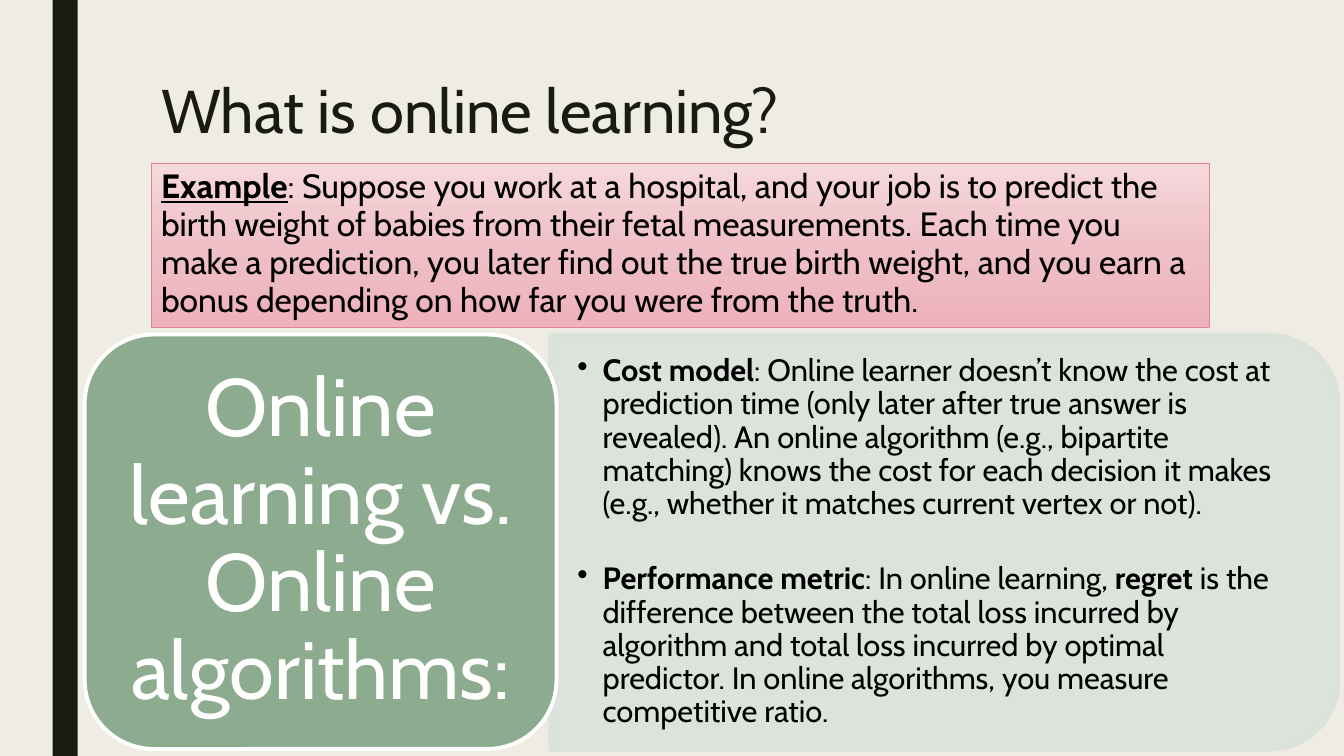
from dataclasses import dataclass

import lxml.etree
import pptx
import pptx.dml.color
import pptx.enum.shapes
import pptx.enum.text
import pptx.oxml.ns
import pptx.util

Pt = pptx.util.Pt
RGBColor = pptx.dml.color.RGBColor
Shape = pptx.enum.shapes.MSO_SHAPE
Align = pptx.enum.text.PP_ALIGN
Anchor = pptx.enum.text.MSO_ANCHOR
qn = pptx.oxml.ns.qn

FONT = "Cabin"
CREAM = RGBColor(0xEF, 0xED, 0xE3)
DARK = RGBColor(0x19, 0x1B, 0x0E)
BLACK = RGBColor(0x00, 0x00, 0x00)
WHITE = RGBColor(0xFF, 0xFF, 0xFF)
GREEN = RGBColor(0x8D, 0xAB, 0x8E)
PALE_GREEN = RGBColor(0xDB, 0xE2, 0xDB)
ROSE = RGBColor(0xE2, 0x83, 0x94)
ROSE_STOPS = (
    (0, RGBColor(0xF6, 0xD9, 0xDD)),
    (50, RGBColor(0xEF, 0xC0, 0xC7)),
    (100, RGBColor(0xEE, 0xB2, 0xBB)),
)


@dataclass(frozen=True)
class Frame:
    """Left, top, width and height in points."""
    left: float
    top: float
    width: float
    height: float

    def lengths(self) -> list:
        return [Pt(v) for v in (self.left, self.top, self.width, self.height)]


@dataclass(frozen=True)
class Span:
    text: str
    bold: bool = False
    underline: bool = False


@dataclass(frozen=True)
class TextStyle:
    size: float
    color: RGBColor
    line_spacing: float
    align: Align = Align.LEFT
    anchor: Anchor = Anchor.TOP
    inset_x: float = 7.2
    inset_y: float = 3.6
    bullet_indent: float = 0
    gap: float = 0


TITLE = TextStyle(44, DARK, 0.89)
EXAMPLE = TextStyle(24, BLACK, 0.94)
LABEL = TextStyle(58, WHITE, 0.9, Align.CENTER, Anchor.MIDDLE, 17.4, 8.7)
POINTS = TextStyle(22, BLACK, 0.9, anchor=Anchor.MIDDLE, inset_x=19.4,
                   inset_y=10, bullet_indent=18, gap=30)

EXAMPLE_TEXT = [[
    Span("Example", bold=True, underline=True),
    Span(": Suppose you work at a hospital, and your job is to predict the birth weight "
         "of babies from their fetal measurements. Each time you make a prediction, you "
         "later find out the true birth weight, and you earn a bonus depending on how far "
         "you were from the truth."),
]]
POINTS_TEXT = [
    [
        Span("Cost model", bold=True),
        Span(": Online learner doesn’t know the cost at prediction time (only later after "
             "true answer is revealed). An online algorithm (e.g., bipartite matching) knows "
             "the cost for each decision it makes (e.g., whether it matches current vertex "
             "or not)."),
    ],
    [
        Span("Performance metric", bold=True),
        Span(": In online learning, "),
        Span("regret", bold=True),
        Span(" is the difference between the total loss incurred by algorithm and total "
             "loss incurred by optimal predictor. In online algorithms, you measure "
             "competitive ratio."),
    ],
]


def add_box(page, kind: Shape, frame: Frame, fill: RGBColor,
            line: RGBColor | None = None, line_width: float = 0):
    box = page.shapes.add_shape(kind, *frame.lengths())
    box.shadow.inherit = False
    box.fill.solid()
    box.fill.fore_color.rgb = fill
    if line is None:
        box.line.fill.background()
    else:
        box.line.color.rgb = line
        box.line.width = Pt(line_width)
    return box


def set_opacity(box, percent: int) -> None:
    """Apply the opacity to the fill and line colours alike."""
    for color in box.fill._xPr.iter(qn("a:srgbClr")):
        lxml.etree.SubElement(color, qn("a:alpha"), val=str(percent * 1000))


def set_gradient(box, stops: tuple) -> None:
    """Fill from top to bottom with (percent, colour) stops."""
    box.fill.gradient()
    box.fill.gradient_angle = 270
    stop_list = box.fill._xPr.find(".//" + qn("a:gsLst"))
    for stop in list(stop_list):
        stop_list.remove(stop)
    for percent, color in stops:
        stop = lxml.etree.SubElement(stop_list, qn("a:gs"), pos=str(percent * 1000))
        lxml.etree.SubElement(stop, qn("a:srgbClr"), val=str(color))


def set_bullet(para, indent: float) -> None:
    properties = para._p.get_or_add_pPr()
    properties.set("marL", str(Pt(indent)))
    properties.set("indent", str(-Pt(indent)))
    lxml.etree.SubElement(properties, qn("a:buChar"), char="•")


def write(box, paragraphs: list[list[Span]], style: TextStyle) -> None:
    frame = box.text_frame
    frame.word_wrap = True
    frame.vertical_anchor = style.anchor
    frame.margin_left = frame.margin_right = Pt(style.inset_x)
    frame.margin_top = frame.margin_bottom = Pt(style.inset_y)
    for index, spans in enumerate(paragraphs):
        para = frame.add_paragraph() if index else frame.paragraphs[0]
        para.alignment = style.align
        para.line_spacing = style.line_spacing
        para.space_before = Pt(style.gap if index else 0)
        if style.bullet_indent:
            set_bullet(para, style.bullet_indent)
        para.font.name = FONT
        para.font.size = Pt(style.size)
        para.font.color.rgb = style.color
        for span in spans:
            run = para.add_run()
            run.text = span.text
            if span.bold:
                run.font.bold = True
            if span.underline:
                run.font.underline = True


def add_text(page, frame: Frame, paragraphs: list[list[Span]], style: TextStyle) -> None:
    write(page.shapes.add_textbox(*frame.lengths()), paragraphs, style)


def main() -> None:
    deck = pptx.Presentation()
    deck.slide_width, deck.slide_height = Pt(960), Pt(540)
    page = deck.slides.add_slide(deck.slide_layouts[6])
    page.background.fill.solid()
    page.background.fill.fore_color.rgb = CREAM

    add_box(page, Shape.RECTANGLE, Frame(37.5, 0, 18, 540), DARK)
    add_text(page, Frame(108, 54, 756, 116.6), [[Span("What is online learning?")]], TITLE)

    example = add_box(page, Shape.RECTANGLE, Frame(108, 116.8, 756, 117), CREAM, ROSE, 0.5)
    set_gradient(example, ROSE_STOPS)
    write(example, EXAMPLE_TEXT, EXAMPLE)

    panel = add_box(page, Shape.ROUND_2_SAME_RECTANGLE, Frame(526.3, 105.8, 296.6, 563),
                    PALE_GREEN, PALE_GREEN, 2.75)
    panel.rotation = 90
    set_opacity(panel, 90)
    add_text(page, Frame(393.1, 253.4, 548.6, 267.8), POINTS_TEXT, POINTS)

    add_box(page, Shape.ROUNDED_RECTANGLE, Frame(60.5, 239, 337, 296), GREEN, WHITE, 2.75)
    add_text(page, Frame(74.9, 253.4, 308.2, 267.1),
             [[Span("Online learning vs. Online algorithms:")]], LABEL)

    deck.save("out.pptx")


if __name__ == "__main__":
    main()
